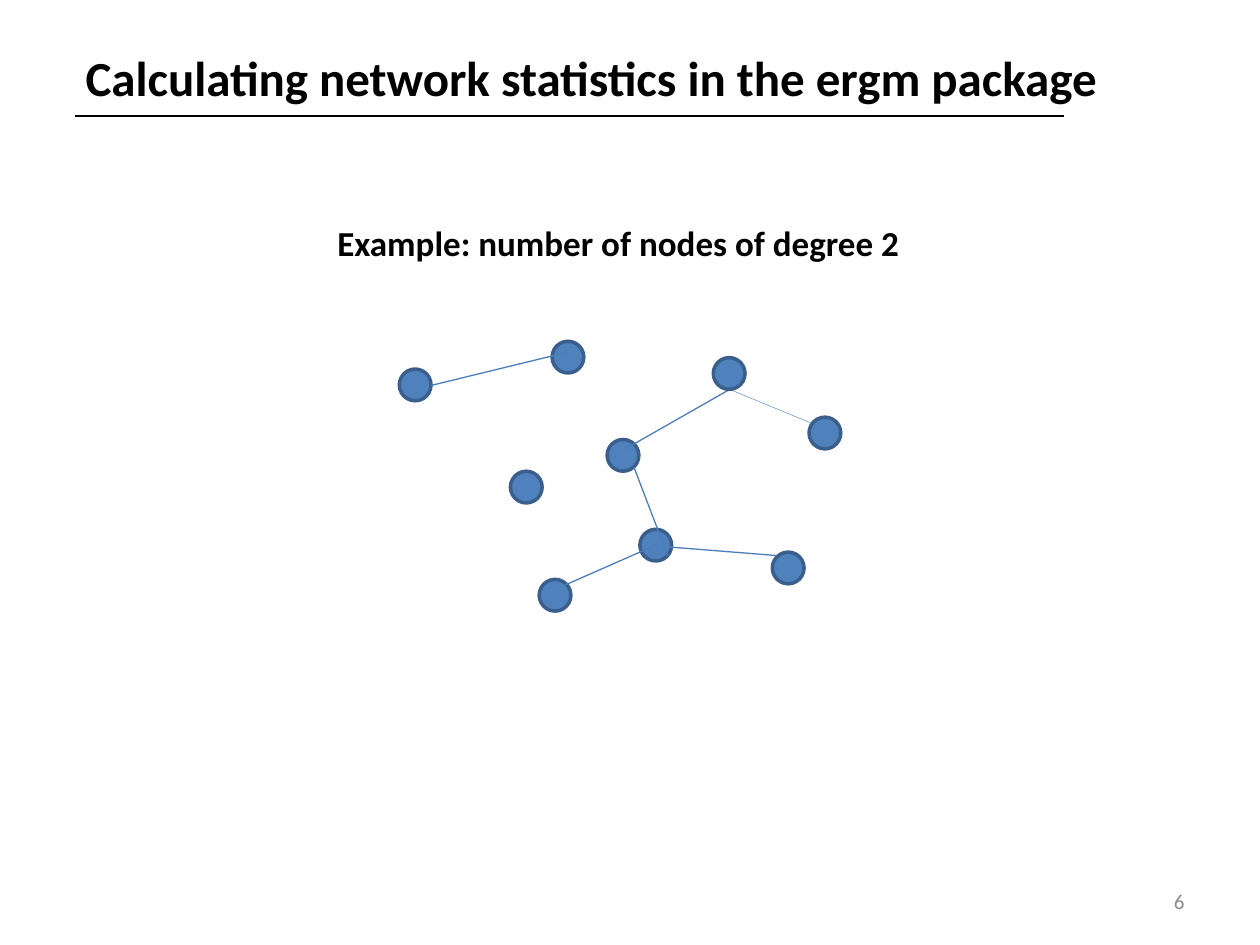
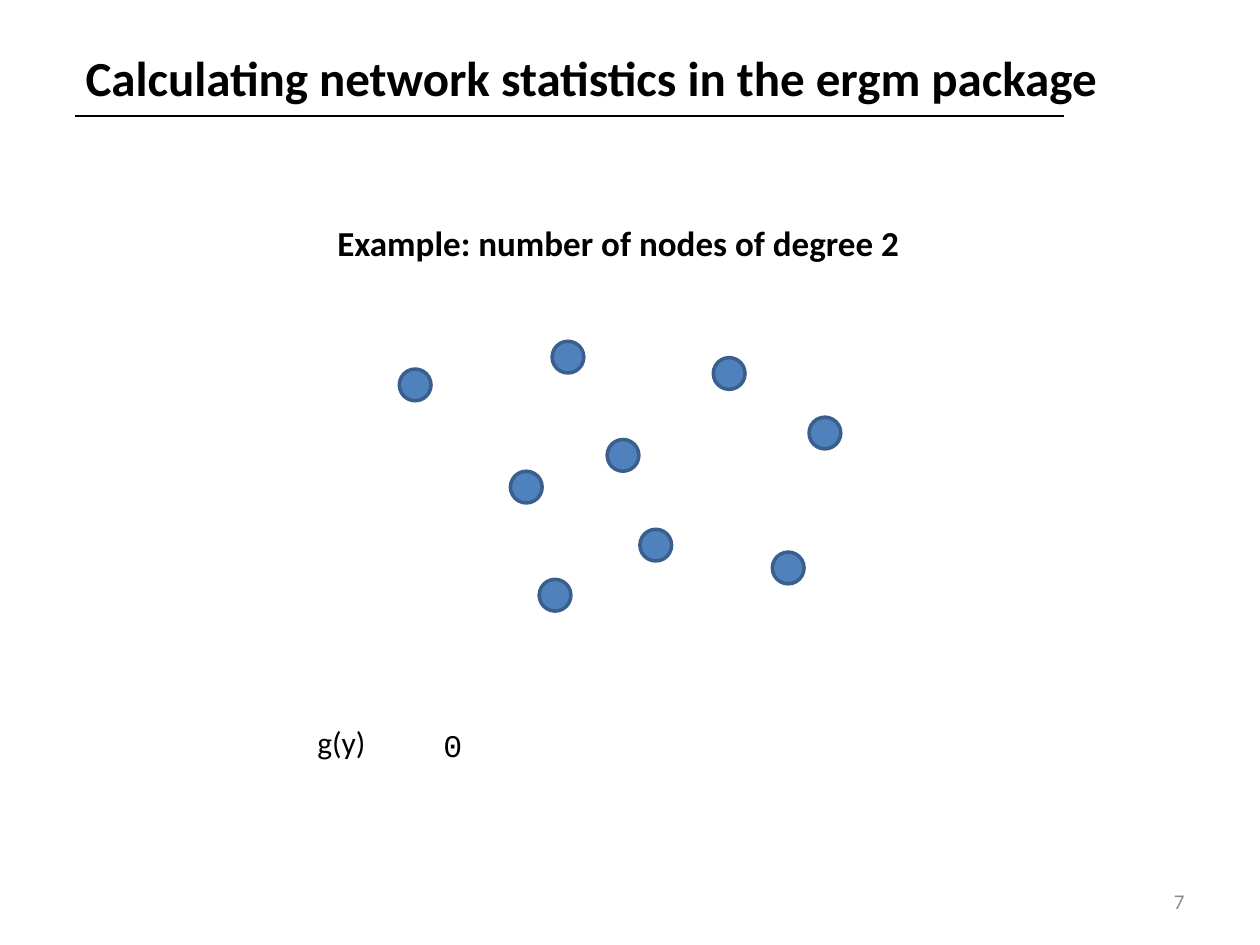
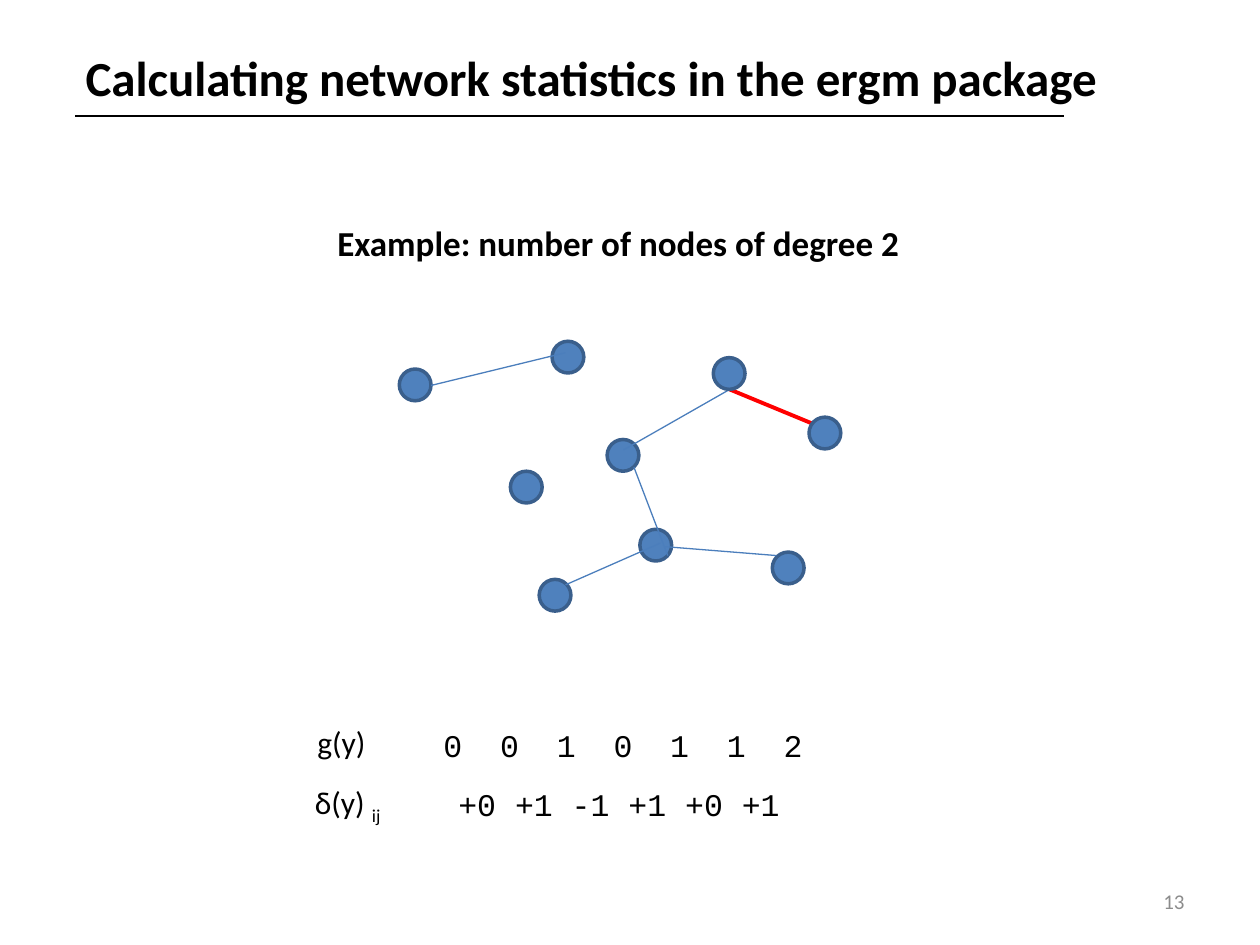
from lxml.etree import SubElement
from pptx import Presentation
from pptx.dml.color import RGBColor
from pptx.enum.shapes import MSO_CONNECTOR, MSO_SHAPE
from pptx.enum.text import MSO_ANCHOR, MSO_AUTO_SIZE, PP_ALIGN
from pptx.oxml.ns import qn
from pptx.util import Cm, Pt

BLACK = RGBColor(0x00, 0x00, 0x00)
GREY = RGBColor(0x8C, 0x8C, 0x8C)
RED = RGBColor(0xFF, 0x00, 0x00)
NODE_FILL = RGBColor(0x4F, 0x81, 0xBD)
NODE_LINE = RGBColor(0x3A, 0x5F, 0x8C)
EDGE_LINE = RGBColor(0x4B, 0x7E, 0xBC)

TITLE_FONT = {"name": "Calibri", "size": Pt(28), "bold": True}
HEADING_FONT = {"name": "Calibri", "size": Pt(20), "bold": True}
LABEL_FONT = {"name": "Calibri", "size": Pt(18)}
VALUE_FONT = {"name": "Courier New", "size": Pt(18)}
NUMBER_FONT = {"name": "Calibri", "size": Pt(12)}

TITLE = "Calculating network statistics in the ergm package"
HEADING = "Example: number of nodes of degree 2"
NODE_SIZE = 0.64
VALUE_STEP = Pt(32.4)

BACK_NODES = [(8.05, 7.44), (10.29, 9.5), (10.87, 11.68), (11.13, 6.88),
              (12.24, 8.86), (12.9, 10.67), (15.57, 11.13)]
FRONT_NODES = [(14.38, 7.21), (16.31, 8.41)]
EDGES = [((11.4, 11.79), (13.31, 10.95)), ((12.78, 9.42), (13.46, 11.2)),
         ((13.41, 11.02), (15.65, 11.2)), ((12.57, 9.07), (14.71, 7.85)),
         ((8.69, 7.77), (11.4, 7.11))]
LAST_EDGE = ((14.71, 7.85), (16.79, 8.71))


class NetworkDeck:
    def __init__(self):
        self.deck = Presentation()
        self.deck.slide_width, self.deck.slide_height = Cm(25.4), Cm(19.05)
        self.page = None

    def start_page(self, number):
        self.page = self.deck.slides.add_slide(self.deck.slide_layouts[5])
        box = self.page.shapes.title
        self.place(box, 1.47, 0.84, 21.18, 1.45)
        self.set_text(box, TITLE, TITLE_FONT)
        self.line((1.52, 2.34), (21.44, 2.34), BLACK, 0.75)
        self.text(HEADING, (6.55, 4.34, 11.96, 1.12), HEADING_FONT)
        box = self.text(number, (18.21, 17.65, 5.92, 1.02), NUMBER_FONT,
                        GREY, PP_ALIGN.RIGHT)
        box.text_frame.word_wrap = True
        box.text_frame.auto_size = MSO_AUTO_SIZE.NONE
        box.text_frame.vertical_anchor = MSO_ANCHOR.MIDDLE

    def place(self, box, *lengths):
        for name, length in zip(("left", "top", "width", "height"), lengths):
            setattr(box, name, Cm(length))

    def set_text(self, box, text, font, color=BLACK, align=PP_ALIGN.LEFT):
        frame = box.text_frame
        settings = {"word_wrap": False, "vertical_anchor": MSO_ANCHOR.TOP,
                    "auto_size": MSO_AUTO_SIZE.SHAPE_TO_FIT_TEXT}
        for name, value in settings.items():
            setattr(frame, name, value)
        para = frame.paragraphs[0]
        para.alignment = align
        self.span(para, text, font, color)

    def span(self, para, text, font, color=BLACK):
        span = para.add_run()
        span.text = text
        for name, value in font.items():
            setattr(span.font, name, value)
        span.font.color.rgb = color
        return span

    def text(self, text, area, font, color=BLACK, align=PP_ALIGN.LEFT):
        box = self.page.shapes.add_textbox(*map(Cm, area))
        self.set_text(box, text, font, color, align)
        return box

    def label(self, text, left, top, width, subscript=None):
        box = self.text(text, (left, top, width, 1.02), LABEL_FONT)
        if subscript:
            span = self.span(box.text_frame.paragraphs[0], subscript, LABEL_FONT)
            span.font._element.set("baseline", "-25000")

    def values(self, values, left, top, width):
        box = self.text("\t".join(values), (left, top, width, 1.02), VALUE_FONT)
        if len(values) > 1:
            box.text_frame.word_wrap = True
            para = box.text_frame.paragraphs[0]
            stops = SubElement(para._p.get_or_add_pPr(), qn("a:tabLst"))
            for index in range(1, len(values)):
                SubElement(stops, qn("a:tab"), pos=str(VALUE_STEP * index), algn="l")

    def line(self, start, end, color, width):
        line = self.page.shapes.add_connector(
            MSO_CONNECTOR.STRAIGHT, *map(Cm, start + end))
        line.line.color.rgb = color
        line.line.width = Pt(width)
        SubElement(line._element.spPr, qn("a:effectLst"))

    def nodes(self, corners):
        for left, top in corners:
            node = self.page.shapes.add_shape(
                MSO_SHAPE.OVAL, Cm(left), Cm(top), Cm(NODE_SIZE), Cm(NODE_SIZE))
            node.shadow.inherit = False
            node.fill.solid()
            node.fill.fore_color.rgb = NODE_FILL
            node.line.color.rgb = NODE_LINE
            node.line.width = Pt(2)

    def network(self, last_color=None, last_width=None):
        self.nodes(BACK_NODES)
        if last_color is not None:
            for start, end in EDGES:
                self.line(start, end, EDGE_LINE, 0.75)
            self.line(*LAST_EDGE, last_color, last_width)
        self.nodes(FRONT_NODES)

    def statistic(self, values, width):
        self.label("g(y)", 6.15, 14.46, 1.5)
        self.values(values, 8.69, 14.51, width)

    def changes(self, values):
        self.label("δ(y) ", 6.1, 15.67, 1.83, "ij")
        self.text(" ".join(values), (8.99, 15.7, 7.01, 1.02), VALUE_FONT)


def main():
    show = NetworkDeck()

    show.start_page("6")
    show.network(NODE_FILL, 0.25)

    show.start_page("7")
    show.network()
    show.statistic(["0"], 0.89)

    show.start_page("13")
    show.network(RED, 2.25)
    show.statistic(["0", "0", "1", "0", "1", "1", "2"], 7.8)
    show.changes(["+0", "+1", "-1", "+1", "+0", "+1"])

    show.deck.save("out.pptx")


if __name__ == "__main__":
    main()
